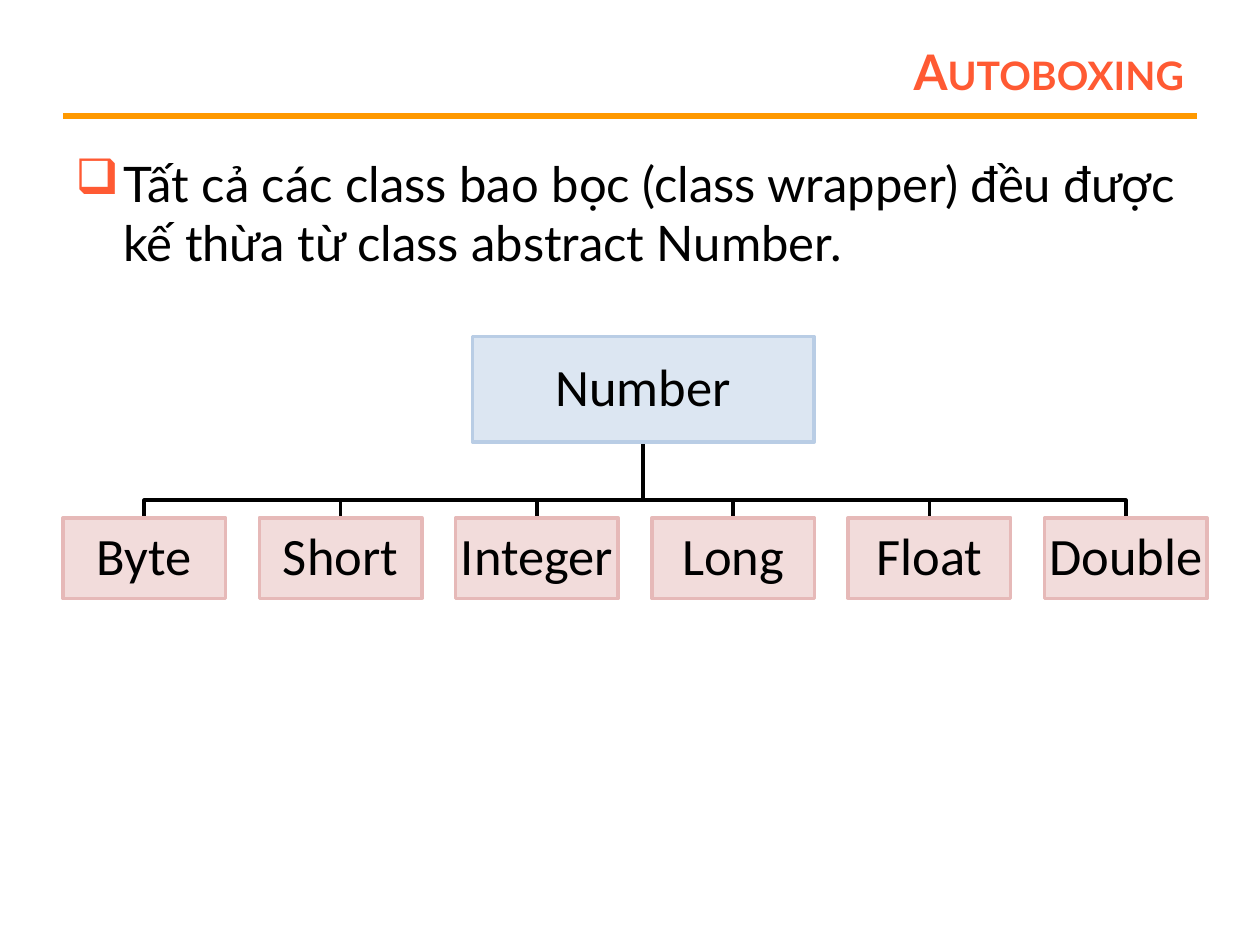
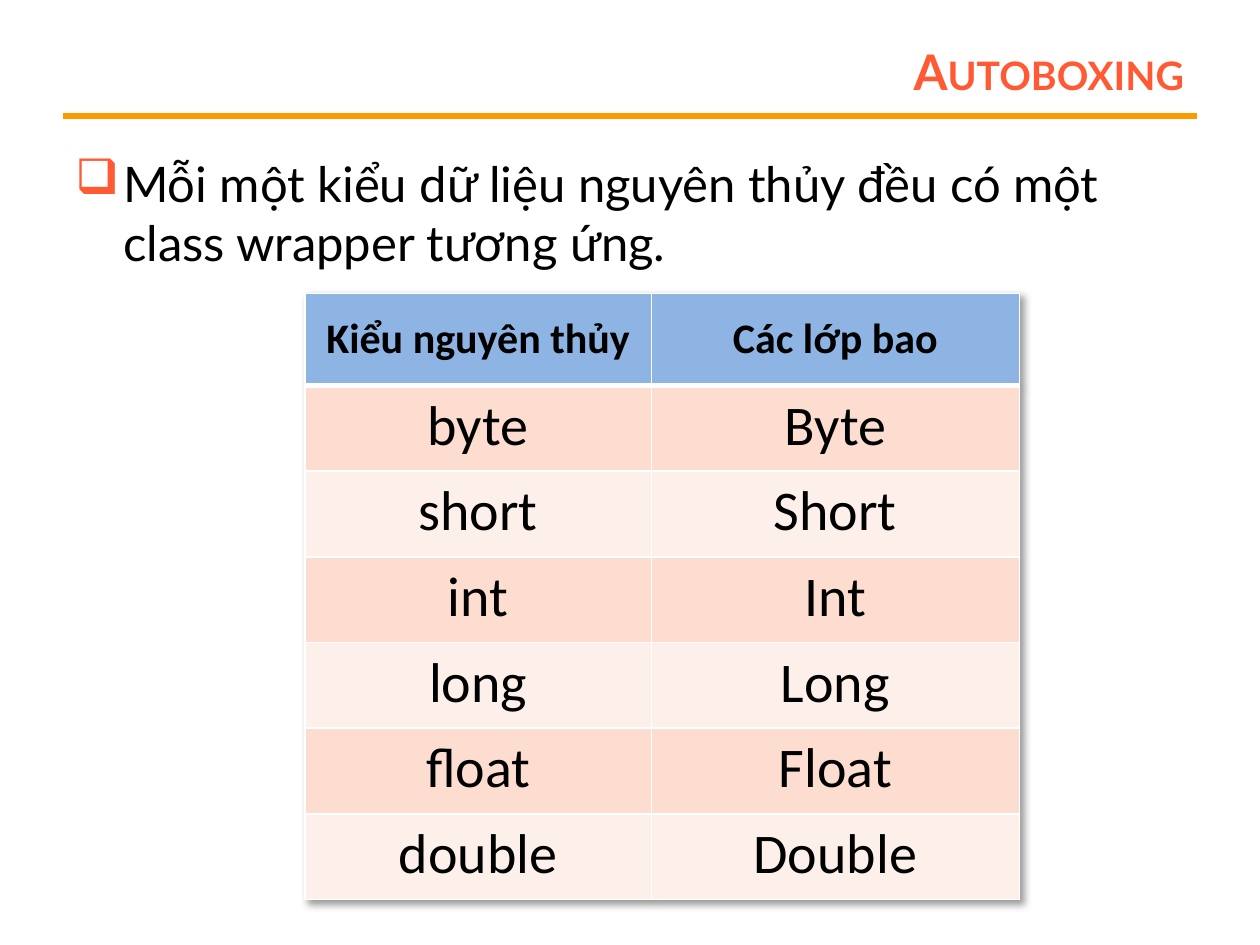
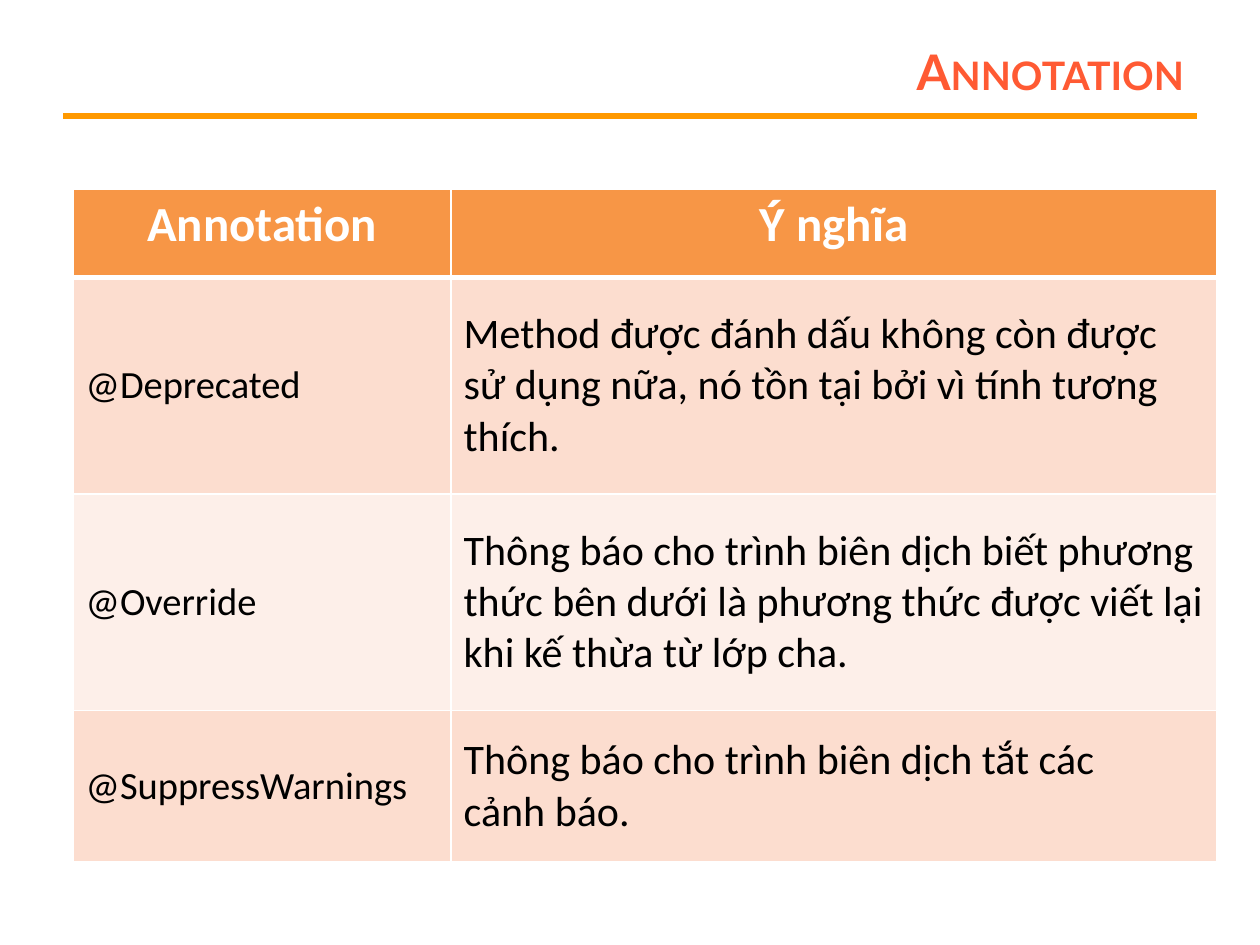
from dataclasses import dataclass

from pptx import Presentation
from pptx.dml.color import RGBColor as Color
from pptx.enum.shapes import MSO_CONNECTOR as Connector, MSO_SHAPE as Shape
from pptx.enum.text import MSO_ANCHOR as Anchor, MSO_AUTO_SIZE as AutoSize, PP_ALIGN as Align
from pptx.oxml import parse_xml
from pptx.oxml.ns import nsdecls
from pptx.util import Inches, Pt


@dataclass(frozen=True)
class Theme:
    title_font: str = "Lato"
    body_font: str = "Calibri"
    accent: str = "FF5A33"
    rule: str = "FF9900"
    ink: str = "000000"
    paper: str = "FFFFFF"
    parent_fill: str = "DCE6F2"
    parent_line: str = "B9CDE5"
    child_fill: str = "F2DCDB"
    child_line: str = "E6B9B8"
    header_blue: str = "8EB4E3"
    header_orange: str = "F79646"
    bands: tuple = ("FCDDCF", "FDEFE9")
    title_size: int = 28
    lead_size: int = 28
    node_size: int = 30
    type_header_size: int = 24
    type_size: int = 32
    name_size: int = 22
    meaning_size: int = 24


@dataclass(frozen=True)
class Box:
    left: float
    top: float
    width: float
    height: float

    @property
    def center(self):
        return self.left + self.width / 2

    @property
    def bottom(self):
        return self.top + self.height

    def inches(self):
        return [Inches(v) for v in (self.left, self.top, self.width, self.height)]


@dataclass(frozen=True)
class CellStyle:
    size: int
    color: str = "000000"
    bold: bool = False
    align: Align = Align.LEFT
    anchor: Anchor = Anchor.MIDDLE


THEME = Theme()
TITLE_BOX = Box(2.25, 0.3, 7.25, 0.53)
LEAD_BOX = Box(0.5, 1.17, 9, 5.75)
TREE_BOX = Box(0.5, 2.67, 9.08, 2.08)
TYPES_BOX = Box(2.42, 2.33, 5.67, 4.82)
ANNOTATIONS_BOX = Box(0.58, 1.5, 9.08, 5.33)

WRAPPERS = ["Byte", "Short", "Integer", "Long", "Float", "Double"]
TYPES = [
    ("Kiểu nguyên thủy", "Các lớp bao"),
    ("byte", "Byte"),
    ("short", "Short"),
    ("int", "Int"),
    ("long", "Long"),
    ("float", "Float"),
    ("double", "Double"),
]
ANNOTATIONS = [
    ("Annotation", "Ý nghĩa"),
    ("@Deprecated", "Method được đánh dấu không còn được sử dụng nữa, nó tồn tại bởi vì tính tương thích."),
    ("@Override", "Thông báo cho trình biên dịch biết phương thức bên dưới là phương thức "
                  "được viết lại khi kế thừa từ lớp cha."),
    ("@SuppressWarnings", "Thông báo cho trình biên dịch tắt các \ncảnh báo."),
]


def add_text(para, text, font, size, color, bold=False):
    for index, line in enumerate(text.split("\n")):
        if index:
            para.add_line_break()
        span = para.add_run()
        span.text = line
        span.font.name = font
        span.font.size = Pt(size)
        span.font.bold = bold
        span.font.color.rgb = Color.from_string(color)
    return span


def set_line(line, color, width):
    line.color.rgb = Color.from_string(color)
    line.width = Pt(width)


def add_page(deck, title):
    page = deck.slides.add_slide(deck.slide_layouts[5])
    holder = page.shapes.title
    holder.left, holder.top, holder.width, holder.height = TITLE_BOX.inches()
    frame = holder.text_frame
    frame.auto_size = AutoSize.NONE
    frame.vertical_anchor = Anchor.MIDDLE
    para = frame.paragraphs[0]
    para.alignment = Align.RIGHT
    span = add_text(para, title, THEME.title_font, THEME.title_size, THEME.accent, True)
    span.font._element.set("cap", "small")

    rule = page.shapes.add_connector(
        Connector.STRAIGHT, Inches(0.5), Inches(0.92), Inches(9.5), Inches(0.92))
    set_line(rule.line, THEME.rule, 3)
    rule._element.spPr.append(parse_xml(f'<a:effectLst {nsdecls("a")}/>'))
    return page


def add_lead(page, box, text):
    frame = page.shapes.add_textbox(*box.inches()).text_frame
    frame.word_wrap = True
    para = frame.paragraphs[0]
    para.space_before = Pt(THEME.lead_size * 0.2)
    props = para._p.get_or_add_pPr()
    props.set("marL", str(Inches(0.38)))
    props.set("indent", str(Inches(-0.38)))
    props.append(parse_xml(
        f'<a:buClr {nsdecls("a")}><a:srgbClr val="{THEME.accent}"/></a:buClr>'))
    props.append(parse_xml(f'<a:buChar {nsdecls("a")} char="❑"/>'))
    add_text(para, text, THEME.title_font, THEME.lead_size, THEME.ink)


def add_node(page, box, text, fill, line):
    node = page.shapes.add_shape(Shape.RECTANGLE, *box.inches())
    node.shadow.inherit = False
    node.fill.solid()
    node.fill.fore_color.rgb = Color.from_string(fill)
    set_line(node.line, line, 2)
    frame = node.text_frame
    frame.word_wrap = True
    frame.vertical_anchor = Anchor.MIDDLE
    frame.margin_left = frame.margin_right = Inches(0.02)
    frame.margin_top = frame.margin_bottom = Inches(0.02)
    para = frame.paragraphs[0]
    para.alignment = Align.CENTER
    para.line_spacing = 0.9
    para.space_after = Pt(THEME.node_size * 0.35)
    add_text(para, text, THEME.body_font, THEME.node_size, THEME.ink)


def add_branch(page, parent, child):
    bend = child.top - 0.14
    points = [(parent.center, bend), (child.center, bend), (child.center, child.top)]
    builder = page.shapes.build_freeform(Inches(parent.center), Inches(parent.bottom))
    builder.add_line_segments([(Inches(x), Inches(y)) for x, y in points], close=False)
    branch = builder.convert_to_shape()
    branch.shadow.inherit = False
    branch.fill.background()
    set_line(branch.line, THEME.ink, 2)


def add_tree(page, box, root, names):
    parent = Box(box.left + 3.25, box.top, 2.71, 0.84)
    width, height = 1.29, 0.64
    pitch = (box.width - width) / (len(names) - 1)
    children = [Box(box.left + i * pitch, box.bottom - height, width, height)
                for i in range(len(names))]
    for child in children:
        add_branch(page, parent, child)
    add_node(page, parent, root, THEME.parent_fill, THEME.parent_line)
    for child, name in zip(children, names):
        add_node(page, child, name, THEME.child_fill, THEME.child_line)


def set_cell(cell, text, fill, style, top, bottom):
    cell.fill.solid()
    cell.fill.fore_color.rgb = Color.from_string(fill)
    cell.vertical_anchor = style.anchor
    para = cell.text_frame.paragraphs[0]
    para.alignment = style.align
    add_text(para, text, THEME.body_font, style.size, style.color, style.bold)
    borders = {"lnL": 1, "lnR": 1, "lnT": top, "lnB": bottom}
    for index, (side, width) in enumerate(borders.items()):
        cell._tc.get_or_add_tcPr().insert(index, parse_xml(
            f'<a:{side} {nsdecls("a")} w="{Pt(width)}"><a:solidFill>'
            f'<a:srgbClr val="{THEME.paper}"/></a:solidFill></a:{side}>'))


def add_grid(page, box, rows, widths, heights, header_fill, header_style, column_styles):
    table = page.shapes.add_table(len(rows), len(widths), *box.inches()).table
    for column, width in zip(table.columns, widths):
        column.width = Inches(width)
    for r, (texts, height) in enumerate(zip(rows, heights)):
        table.rows[r].height = Inches(height)
        fill = THEME.bands[(r - 1) % 2] if r else header_fill
        for c, text in enumerate(texts):
            style = column_styles[c] if r else header_style
            set_cell(table.cell(r, c), text, fill, style,
                     3 if r == 1 else 1, 1 if r else 3)
    return table


def add_table_shadow(table):
    table._tbl.tblPr.insert(0, parse_xml(
        f'<a:effectLst {nsdecls("a")}><a:outerShdw blurRad="{Pt(4)}" dist="{Pt(3)}" '
        f'dir="2700000" algn="tl" rotWithShape="0"><a:srgbClr val="{THEME.ink}">'
        '<a:alpha val="40000"/></a:srgbClr></a:outerShdw></a:effectLst>'))


def add_hierarchy_page(deck):
    page = add_page(deck, "Autoboxing")
    add_lead(page, LEAD_BOX,
             "Tất cả các class bao bọc (class wrapper) đều được kế thừa từ class abstract Number.")
    add_tree(page, TREE_BOX, "Number", WRAPPERS)


def add_types_page(deck):
    page = add_page(deck, "Autoboxing")
    add_lead(page, LEAD_BOX,
             "Mỗi một kiểu dữ liệu nguyên thủy đều có một class wrapper tương ứng.")
    header = CellStyle(THEME.type_header_size, bold=True, align=Align.CENTER)
    body = CellStyle(THEME.type_size, align=Align.CENTER, anchor=Anchor.TOP)
    table = add_grid(page, TYPES_BOX, TYPES, [2.75, 2.92], [0.73] + [0.68] * 6,
                     THEME.header_blue, header, [body, body])
    add_table_shadow(table)


def add_annotations_page(deck):
    page = add_page(deck, "Annotation")
    header = CellStyle(THEME.title_size, THEME.paper, True, Align.CENTER, Anchor.TOP)
    columns = [CellStyle(THEME.name_size), CellStyle(THEME.meaning_size)]
    add_grid(page, ANNOTATIONS_BOX, ANNOTATIONS, [3, 6.08], [0.7, 1.72, 1.72, 1.2],
             THEME.header_orange, header, columns)


def main():
    deck = Presentation()
    deck.slide_width = Inches(10)
    deck.slide_height = Inches(7.5)
    add_hierarchy_page(deck)
    add_types_page(deck)
    add_annotations_page(deck)
    deck.save("out.pptx")


if __name__ == "__main__":
    main()
